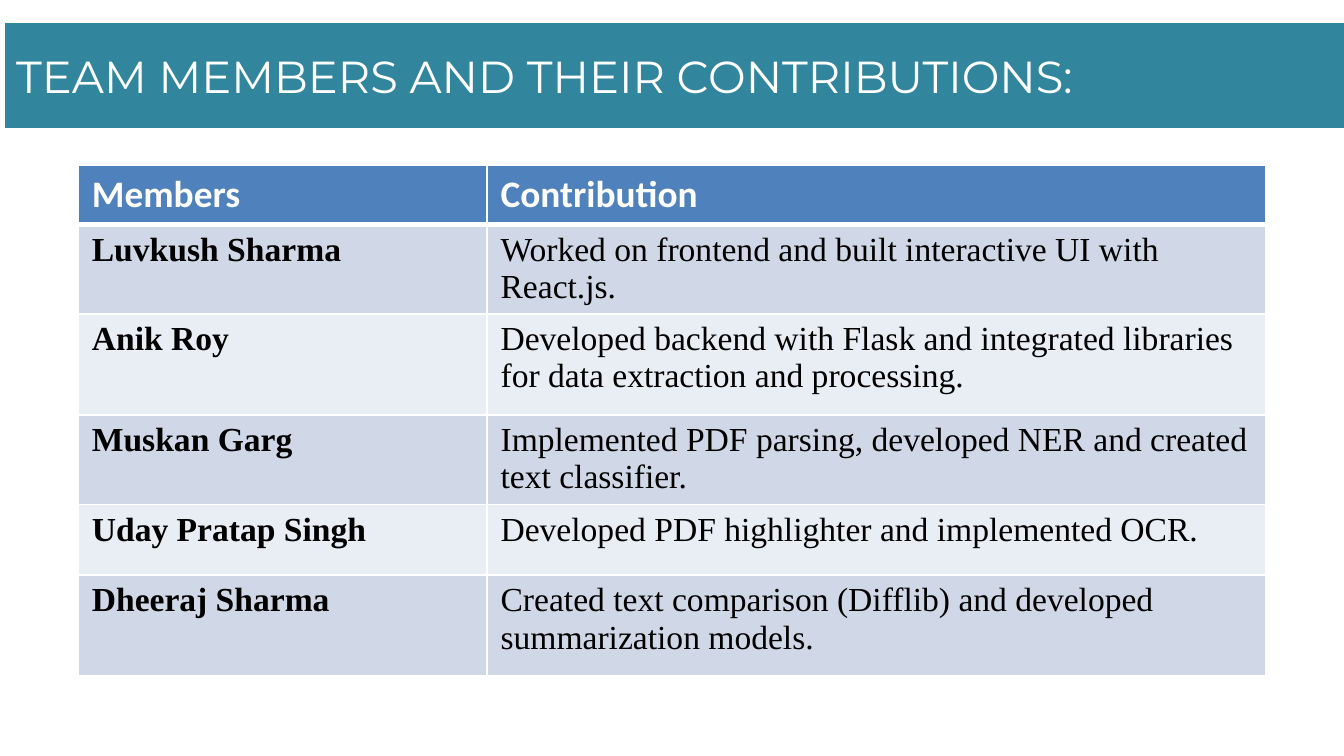
from lxml.etree import SubElement
from pptx import Presentation
from pptx.dml.color import RGBColor
from pptx.enum.text import MSO_ANCHOR, MSO_AUTO_SIZE, PP_ALIGN
from pptx.oxml.ns import qn
from pptx.util import Pt

COLORS = {
    "banner": "31859C",
    "header": "4F81BD",
    "odd_row": "D0D8E8",
    "even_row": "E9EDF4",
    "white": "FFFFFF",
    "black": "000000",
}
CONTRIBUTIONS = [
    ("Luvkush Sharma", "Worked on frontend and built interactive UI with React.js."),
    ("Anik Roy", "Developed backend with Flask and integrated libraries "
                 "for data extraction and processing."),
    ("Muskan Garg", "Implemented PDF parsing, developed NER and created text classifier."),
    ("Uday Pratap Singh", "Developed PDF highlighter and implemented OCR."),
    ("Dheeraj Sharma", "Created text comparison (Difflib) and developed "
                       "summarization models."),
]
ROW_HEIGHTS = [27.5, 48, 54, 48, 38, 54]
MEMBER_SHARE = 0.344


def rgb(name):
    """Return the named palette colour."""
    return RGBColor.from_string(COLORS[name])


def write_text(frame, text, font="Times New Roman", size=18, color="black", bold=False):
    """Write one left-aligned paragraph in the given format."""
    paragraph = frame.paragraphs[0]
    paragraph.alignment = PP_ALIGN.LEFT
    run = paragraph.add_run()
    run.text = text
    run.font.name = font
    run.font.size = Pt(size)
    run.font.bold = bold
    run.font.color.rgb = rgb(color)


def set_borders(cell, bottom_width):
    """Give a cell white borders, with its own width at the bottom."""
    properties = cell._tc.get_or_add_tcPr()
    widths = {"a:lnL": 1, "a:lnR": 1, "a:lnT": 1, "a:lnB": bottom_width}
    for position, (tag, width) in enumerate(widths.items()):
        line = SubElement(properties, qn(tag), w=str(Pt(width)))
        fill = SubElement(line, qn("a:solidFill"))
        SubElement(fill, qn("a:srgbClr"), val=COLORS["white"])
        properties.insert(position, line)


def add_banner(slide, left, top, width, height):
    """Turn the title placeholder into the coloured banner."""
    banner = slide.shapes.title
    banner.left, banner.top = Pt(left), Pt(top)
    banner.width, banner.height = Pt(width), Pt(height)
    banner.fill.solid()
    banner.fill.fore_color.rgb = rgb("banner")
    banner.line.color.rgb = rgb("white")
    banner.line.width = Pt(2)
    frame = banner.text_frame
    frame.word_wrap = True
    frame.auto_size = MSO_AUTO_SIZE.NONE
    frame.vertical_anchor = MSO_ANCHOR.MIDDLE
    write_text(frame, "TEAM MEMBERS AND THEIR CONTRIBUTIONS:",
               font="Montserrat", size=24, color="white")


def add_contributions(slide, left, top, width, height):
    """Place the table of members and their work."""
    rows = [("Members", "Contribution"), *CONTRIBUTIONS]
    table = slide.shapes.add_table(
        len(rows), 2, Pt(left), Pt(top), Pt(width), Pt(height)).table
    member_width = round(width * MEMBER_SHARE)
    table.columns[0].width = Pt(member_width)
    table.columns[1].width = Pt(width - member_width)
    for index, row in enumerate(rows):
        table.rows[index].height = Pt(ROW_HEIGHTS[index])
        is_header = index == 0
        fill = "header" if is_header else "odd_row" if index % 2 else "even_row"
        style = {"font": "Calibri", "size": 20, "color": "white"} if is_header else {}
        for column, text in enumerate(row):
            cell = table.cell(index, column)
            cell.fill.solid()
            cell.fill.fore_color.rgb = rgb(fill)
            set_borders(cell, 3 if is_header else 1)
            write_text(cell.text_frame, text, bold=is_header or column == 0, **style)


def main():
    """Build and save the slide."""
    deck = Presentation()
    deck.slide_width, deck.slide_height = Pt(720), Pt(405)
    slide = deck.slides.add_slide(deck.slide_layouts.get_by_name("Title Only"))
    add_banner(slide, 1.5, 11.5, 720, 58)
    add_contributions(slide, 42, 88.5, 636, sum(ROW_HEIGHTS))
    deck.save("out.pptx")


if __name__ == "__main__":
    main()
